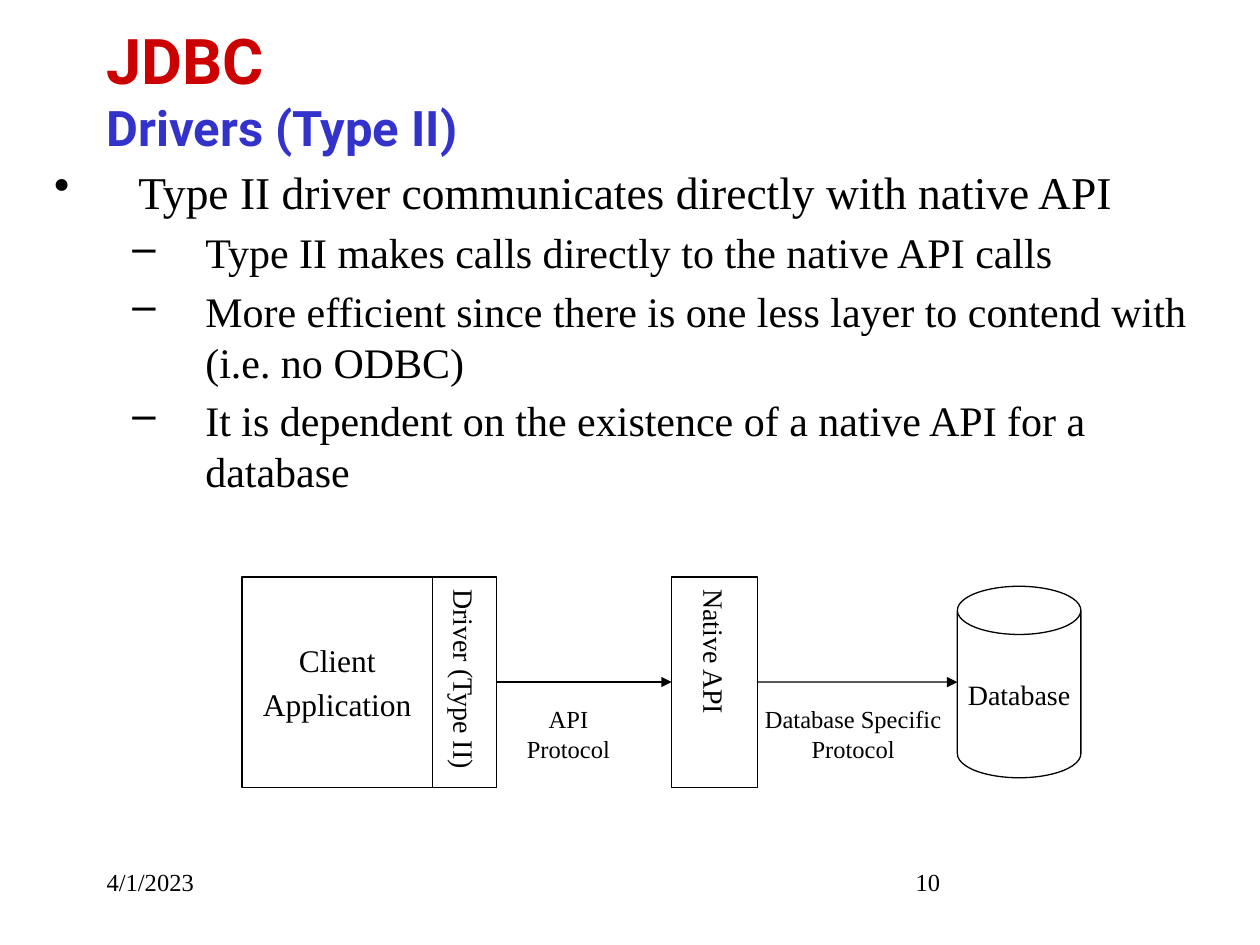
"""Build the slide on Type II database drivers."""
from lxml import etree
from pptx import Presentation
from pptx.dml.color import RGBColor
from pptx.enum import shapes, text
from pptx.oxml import ns
from pptx.util import Cm, Pt

BLACK = RGBColor(0, 0, 0)
RED = RGBColor(0xCC, 0, 0)
BLUE = RGBColor(0x33, 0x33, 0xCC)
SERIF = "Times New Roman"
MID = text.MSO_ANCHOR.MIDDLE
CENTER = text.PP_ALIGN.CENTER


def add_run(para, words, size, face=SERIF, color=BLACK, bold=False):
    run = para.add_run()
    run.text = words
    font = run.font
    font.name, font.size, font.bold = face, Pt(size), bold
    font.color.rgb = color


def add_box(left, top, width, height):
    box = slide.shapes.add_textbox(Cm(left), Cm(top), Cm(width), Cm(height))
    box.text_frame.word_wrap = True
    return box.text_frame


deck = Presentation()
deck.slide_width, deck.slide_height = Cm(25.4), Cm(19.05)
slide = deck.slides.add_slide(deck.slide_layouts[6])

for left, words in ((1.9, "4/1/2023"), (18.21, "10")):
    add_run(add_box(left, 17.35, 5.28, 1.27).paragraphs[0], words, 14)

title = add_box(1.9, 0.2, 21.59, 3.18)
title.vertical_anchor = MID
para = title.paragraphs[0]
add_run(para, "JDBC", 36, "Roboto", RED, True)
para.add_line_break()
add_run(para, "Drivers (Type II)", 28, "Roboto", BLUE, True)

points = (
    (0, "Type II driver communicates directly with native API"),
    (1, "Type II makes calls directly to the native API calls"),
    (1, "More efficient since there is one less layer to contend with (i.e. no ODBC)"),
    (1, "It is dependent on the existence of a native API for a database"),
)
styles = ((1.7, 1.7, "•", 26), (3.05, 1.47, "–", 24))
body = add_box(0.84, 3.18, 23.5, 14.8)
for row, (level, words) in enumerate(points):
    indent, hang, mark, size = styles[level]
    para = body.add_paragraph() if row else body.paragraphs[0]
    para.level = level
    props = para._p.get_or_add_pPr()
    props.set("marL", str(Cm(indent)))
    props.set("indent", str(-Cm(hang)))
    etree.SubElement(props, ns.qn("a:buChar")).set("char", mark)
    if row:
        para.space_before = Pt(4.8)
    add_run(para, words, size)

RECT, CAN = shapes.MSO_SHAPE.RECTANGLE, shapes.MSO_SHAPE.CAN
TOP, TALL = 11.63, 4.24
AXIS = TOP + TALL / 2
parts = (
    (RECT, 4.88, 3.84, TALL, ("Client", "Application"), 18, False),
    (RECT, 8.72, 1.29, TALL, ("Driver (Type II)",), 16, True),
    (RECT, 13.54, 1.73, TALL, ("Native API",), 16, True),
    (CAN, 19.3, 2.49, 3.86, ("Database",), 16, False),
)
nodes = []
for kind, left, width, height, lines, size, upright in parts:
    node = slide.shapes.add_shape(
        kind, Cm(left), Cm(AXIS - height / 2), Cm(width), Cm(height))
    node.shadow.inherit = False
    node.fill.background()
    node.line.color.rgb = BLACK
    node.line.width = Pt(0.75)
    frame = node.text_frame
    frame.vertical_anchor = MID
    frame.word_wrap = kind == RECT
    if upright:
        frame._txBody.bodyPr.set("vert", "eaVert")
    for row, words in enumerate(lines):
        para = frame.add_paragraph() if row else frame.paragraphs[0]
        para.alignment = CENTER
        if row:
            para.space_before = Pt(3.6)
        add_run(para, words, size)
    nodes.append(node)

client, driver, native, store = nodes
store.adjustments[0] = 0.39

for start, end in ((driver, native), (native, store)):
    link = slide.shapes.add_connector(
        shapes.MSO_CONNECTOR.STRAIGHT,
        start.left + start.width, Cm(AXIS), end.left, Cm(AXIS))
    link.begin_connect(start, 3)
    if end is native:
        link.end_connect(end, 1)
    link.line.color.rgb = BLACK
    link.line.width = Pt(0.75)
    tail = etree.SubElement(link.line._get_or_add_ln(), ns.qn("a:tailEnd"))
    tail.set("type", "triangle")
    etree.SubElement(link._element.spPr, ns.qn("a:effectLst"))

labels = ((10.46, 2, "API Protocol"), (15.2, 4, "Database Specific Protocol"))
for left, width, words in labels:
    label = add_box(left, 14.2, width, 1.2)
    label.margin_left = label.margin_right = 0
    label.margin_top = label.margin_bottom = 0
    para = label.paragraphs[0]
    para.alignment = CENTER
    add_run(para, words, 14)

deck.save("out.pptx")
